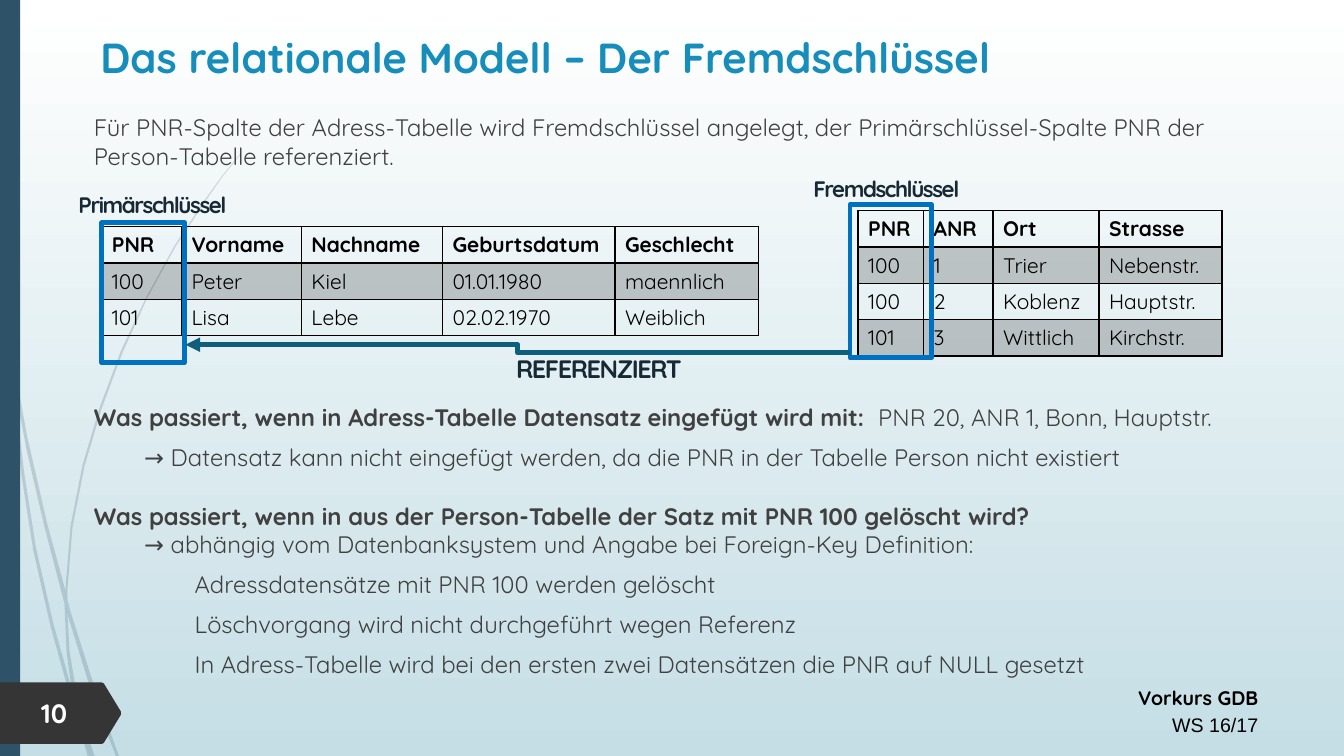
from dataclasses import dataclass

from lxml import etree
from pptx import Presentation
from pptx.dml.color import RGBColor
from pptx.enum.shapes import MSO_CONNECTOR, MSO_SHAPE
from pptx.enum.text import MSO_ANCHOR, MSO_AUTO_SIZE, PP_ALIGN
from pptx.oxml.ns import qn
from pptx.util import Inches, Pt

ELBOW = MSO_CONNECTOR.ELBOW
RECTANGLE = MSO_SHAPE.RECTANGLE
TOP, MIDDLE = MSO_ANCHOR.TOP, MSO_ANCHOR.MIDDLE
NO_FIT = MSO_AUTO_SIZE.NONE
LEFT, CENTER, RIGHT = PP_ALIGN.LEFT, PP_ALIGN.CENTER, PP_ALIGN.RIGHT


@dataclass(frozen=True)
class Theme:
    font: str = "Quicksand"
    footer_font: str = "Arial"
    title: str = "178DBB"
    body: str = "404040"
    label: str = "172934"
    black: str = "000000"
    white: str = "FFFFFF"
    ground: str = "C5DEE5"
    band: str = "2E5369"
    badge: str = "353535"
    key: str = "0070C0"
    arrow: str = "0F5E7C"
    title_size: float = 30
    body_size: float = 17
    cell_size: float = 15
    label_size: float = 16
    reference_size: float = 18
    footer_size: float = 14
    number_size: float = 19
    heavy_line: float = 3.5
    tint: int = 20


@dataclass(frozen=True)
class Box:
    left: float
    top: float
    width: float
    height: float

    def lengths(self) -> tuple:
        return tuple(Inches(v) for v in (self.left, self.top, self.width, self.height))


@dataclass(frozen=True)
class Span:
    text: str
    size: float
    color: str
    bold: bool = False
    font: str = "Quicksand"
    spacing: int = 0


@dataclass(frozen=True)
class Para:
    spans: tuple
    align: int = LEFT
    line: float = 1.0
    before: float = 0
    indent: float = 0


@dataclass(frozen=True)
class Grid:
    left: float
    top: float
    widths: tuple
    rows: tuple


THEME = Theme()
ROW_HEIGHT = 0.35

STRANDS = (
    ((0.08, 3.5), (0.06, 3.22), (0, 2.82), (0, 2.99), (0.08, 3.44)),
    ((0.44, 5.22), (0.64, 5.99), (0.65, 5.86), (0.47, 5.2), (0.27, 4.33), (0.11, 3.45), (0.13, 3.76), (0.27, 4.49)),
    ((0.7, 6.07), (0.67, 5.96), (0.67, 6.1), (0.93, 6.94), (1.15, 7.5), (1.18, 7.5), (0.97, 6.92)),
    ((0.91, 7.5), (0.94, 7.5), (0.8, 7.11)),
    ((0.71, 6.83), (0.53, 6.19), (0.36, 5.45), (0.24, 4.69), (0.13, 3.76), (0.08, 3.5), (0.21, 4.7),
     (0.33, 5.46), (0.5, 6.21), (0.7, 6.93), (0.77, 7.14), (0.75, 7.07)),
    ((0.64, 5.99), (0.66, 6.46), (0.71, 6.83), (0.73, 6.92), (0.8, 7.11), (0.79, 7.06), (0.69, 6.46),
     (0.67, 6.1), (0.67, 6.08)),
    ((0.67, 5.84), (0.72, 5.23), (0.84, 4.62), (1.01, 4.05), (1.22, 3.49), (1.46, 2.96), (1.74, 2.45),
     (2.05, 1.98), (2.21, 1.75), (2.38, 1.54), (2.38, 1.53), (2.2, 1.75), (2.04, 1.97), (1.73, 2.44),
     (1.45, 2.95), (1.2, 3.48), (0.99, 4.04), (0.82, 4.61), (0.7, 5.22), (0.65, 5.84), (0.65, 5.86), (0.67, 5.96)),
    ((0.77, 7.14), (0.87, 7.5), (0.9, 7.5)),
    ((0.67, 6.08), (0.67, 5.96), (0.65, 5.86), (0.64, 5.99)),
    ((0.74, 6.92), (0.71, 6.83), (0.75, 7.07), (0.77, 7.14), (0.9, 7.5), (0.91, 7.5), (0.8, 7.11)),
)
BADGE = ((0, 6.77), (1.01, 6.77), (1.03, 6.78), (1.2, 7.06), (1.2, 7.09), (1.03, 7.37), (1.01, 7.38), (0, 7.38))

GRIDS = (
    Grid(1.01, 2.25, (0.79, 1.19, 1.4, 1.71, 1.42), (
        ("PNR", "Vorname", "Nachname", "Geburtsdatum", "Geschlecht"),
        ("100", "Peter", "Kiel", "01.01.1980", "maennlich"),
        ("101", "Lisa", "Lebe", "02.02.1970", "Weiblich"))),
    Grid(8.51, 2.09, (0.65, 0.69, 1.05, 1.22), (
        ("PNR", "ANR", "Ort", "Strasse"),
        ("100", "1", "Trier", "Nebenstr."),
        ("100", "2", "Koblenz", "Hauptstr."),
        ("101", "3", "Wittlich", "Kirchstr."))),
)
KEY_BOXES = (Box(1.01, 2.21, 0.82, 1.39), Box(8.43, 2.03, 0.81, 1.52))
LABELS = (
    ("REFERENZIERT", Box(5.02, 3.46, 2, 0.43), THEME.reference_size),
    ("Fremdschlüssel", Box(7.97, 1.69, 2.34, 0.43), THEME.label_size),
    ("Primärschlüssel", Box(0.68, 1.85, 2.34, 0.43), THEME.label_size),
)


def body_para(text: str, before: float = 8, indent: float = 0, question: str = "") -> Para:
    parts = ((question, True), (text, False))
    spans = tuple(Span(t, THEME.body_size, THEME.body, bold) for t, bold in parts if t)
    return Para(spans, before=before, indent=indent)


BODY = (
    body_para("Für PNR-Spalte der Adress-Tabelle wird Fremdschlüssel angelegt, der Primärschlüssel-Spalte PNR der "
              "Person-Tabelle referenziert."),
    body_para("PNR 20, ANR 1, Bonn, Hauptstr.", 166,
              question="Was passiert, wenn in Adress-Tabelle Datensatz eingefügt wird mit:  "),
    body_para("→ Datensatz kann nicht eingefügt werden, da die PNR in der Tabelle Person nicht existiert", indent=0.5),
    body_para("", 22, question="Was passiert, wenn in aus der Person-Tabelle der Satz mit PNR 100 gelöscht wird?"),
    body_para("→ abhängig vom Datenbanksystem und Angabe bei Foreign-Key Definition:", 0, 0.5),
    body_para("Adressdatensätze mit PNR 100 werden gelöscht", indent=1),
    body_para("Löschvorgang wird nicht durchgeführt wegen Referenz", indent=1),
    body_para("In Adress-Tabelle wird bei den ersten zwei Datensätzen die PNR auf NULL gesetzt", indent=1),
)


def rgb(color: str) -> RGBColor:
    return RGBColor.from_string(color)


def write(frame, paras: tuple, anchor=TOP) -> None:
    frame.word_wrap = True
    frame.auto_size = NO_FIT
    frame.vertical_anchor = anchor
    for index, para in enumerate(paras):
        target = frame.paragraphs[0] if index == 0 else frame.add_paragraph()
        write_para(target, para)


def write_para(target, para: Para) -> None:
    target.alignment = para.align
    target.line_spacing = para.line
    target.space_before = Pt(para.before)
    properties = target._p.get_or_add_pPr()
    properties.set("marL", str(Inches(para.indent)))
    properties.set("indent", "0")
    etree.SubElement(properties, qn("a:buNone"))
    for span in para.spans:
        run = target.add_run()
        run.text = span.text
        run.font.name = span.font
        run.font.size = Pt(span.size)
        run.font.bold = span.bold
        run.font.color.rgb = rgb(span.color)
        if span.spacing:
            run._r.get_or_add_rPr().set("spc", str(span.spacing))


def place(shape, box: Box) -> None:
    shape.left, shape.top, shape.width, shape.height = box.lengths()


def add_text(page, box: Box, paras: tuple, anchor=TOP) -> None:
    write(page.shapes.add_textbox(*box.lengths()).text_frame, paras, anchor)


def set_alpha(properties, percent: int) -> None:
    color = properties.find(qn("a:solidFill")).find(qn("a:srgbClr"))
    etree.SubElement(color, qn("a:alpha"), val=str(percent * 1000))


def add_outline(page, points: tuple, color: str, alpha: int = 100) -> None:
    corners = [(Inches(x), Inches(y)) for x, y in points]
    builder = page.shapes.build_freeform(*corners[0], scale=1.0)
    builder.add_line_segments(corners[1:], close=True)
    shape = builder.convert_to_shape()
    shape.shadow.inherit = False
    shape.fill.solid()
    shape.fill.fore_color.rgb = rgb(color)
    shape.line.fill.background()
    if alpha < 100:
        set_alpha(shape._element.spPr, alpha)


def add_rectangle(page, box: Box):
    shape = page.shapes.add_shape(RECTANGLE, *box.lengths())
    shape.shadow.inherit = False
    return shape


def add_borders(cell, top: float, bottom: float) -> None:
    properties = cell._tc.get_or_add_tcPr()
    for index, (side, width) in enumerate((("L", 1), ("R", 1), ("T", top), ("B", bottom))):
        line = etree.Element(qn(f"a:ln{side}"), w=str(Pt(width)))
        fill = etree.SubElement(line, qn("a:solidFill"))
        etree.SubElement(fill, qn("a:srgbClr"), val=THEME.black)
        properties.insert(index, line)


def add_grid(page, grid: Grid) -> None:
    box = Box(grid.left, grid.top, sum(grid.widths), ROW_HEIGHT * len(grid.rows))
    table = page.shapes.add_table(len(grid.rows), len(grid.widths), *box.lengths()).table
    table.first_row = table.horz_banding = False
    for column, width in zip(table.columns, grid.widths):
        column.width = Inches(width)
    for r, values in enumerate(grid.rows):
        for c, value in enumerate(values):
            cell = table.cell(r, c)
            write_para(cell.text_frame.paragraphs[0],
                       Para((Span(value, THEME.cell_size, THEME.black, r == 0),)))
            if r % 2:
                cell.fill.solid()
                cell.fill.fore_color.rgb = rgb(THEME.black)
                set_alpha(cell._tc.tcPr, THEME.tint)
            else:
                cell.fill.background()
            add_borders(cell, 2 if r == 1 else 1, 2 if r == 0 else 1)


def add_reference_arrow(page) -> None:
    arrow = page.shapes.add_connector(ELBOW, Inches(8.43), Inches(3.5), Inches(1.84), Inches(3.42))
    arrow.line.color.rgb = rgb(THEME.arrow)
    arrow.line.width = Pt(THEME.heavy_line)
    properties = arrow._element.spPr
    etree.SubElement(properties.find(qn("a:ln")), qn("a:tailEnd"), type="triangle")
    etree.SubElement(properties, qn("a:effectLst"))


def add_background(page) -> None:
    fill = page.background.fill
    fill.gradient()
    fill.gradient_angle = 270
    for stop, position, color in zip(fill.gradient_stops, (0, 1), (THEME.white, THEME.ground)):
        stop.position = position
        stop.color.rgb = rgb(color)


def add_frame(page) -> None:
    for strand in STRANDS:
        add_outline(page, strand, THEME.band, THEME.tint)
    band = add_rectangle(page, Box(0, 0, 0.2, 7.5))
    band.fill.solid()
    band.fill.fore_color.rgb = rgb(THEME.band)
    band.line.fill.background()
    course = Span("Vorkurs GDB", THEME.footer_size, THEME.black, True)
    term = Span("WS 16/17", THEME.footer_size, THEME.black, font=THEME.footer_font)
    add_text(page, Box(7.38, 6.72, 5.2, 0.64), tuple(Para((s,), RIGHT, 1.14) for s in (course, term)))
    add_outline(page, BADGE, THEME.badge)
    number = Span("10", THEME.number_size, THEME.white, True)
    add_text(page, Box(0.31, 6.86, 0.7, 0.42), (Para((number,)),), MIDDLE)


def add_content(page) -> None:
    title, body = page.shapes.title, page.placeholders[1]
    place(title, Box(0.64, 0.26, 9.54, 0.81))
    heading = Span("Das relationale Modell – Der Fremdschlüssel", THEME.title_size, THEME.title, True)
    write(title.text_frame, (Para((heading,), CENTER),))
    place(body, Box(0.83, 1.07, 11.62, 6.14))
    write(body.text_frame, BODY)
    for placeholder in (title, body):
        page.shapes._spTree.append(placeholder._element)
    for grid in GRIDS:
        add_grid(page, grid)
    for box in KEY_BOXES:
        key = add_rectangle(page, box)
        key.fill.background()
        key.line.color.rgb = rgb(THEME.key)
        key.line.width = Pt(THEME.heavy_line)
    add_reference_arrow(page)
    for text, box, size in LABELS:
        add_text(page, box, (Para((Span(text, size, THEME.label, True, spacing=-100),)),))


def main() -> None:
    deck = Presentation()
    deck.slide_width, deck.slide_height = Inches(13.33), Inches(7.5)
    page = deck.slides.add_slide(deck.slide_layouts[1])
    add_background(page)
    add_frame(page)
    add_content(page)
    deck.save("out.pptx")


if __name__ == "__main__":
    main()
